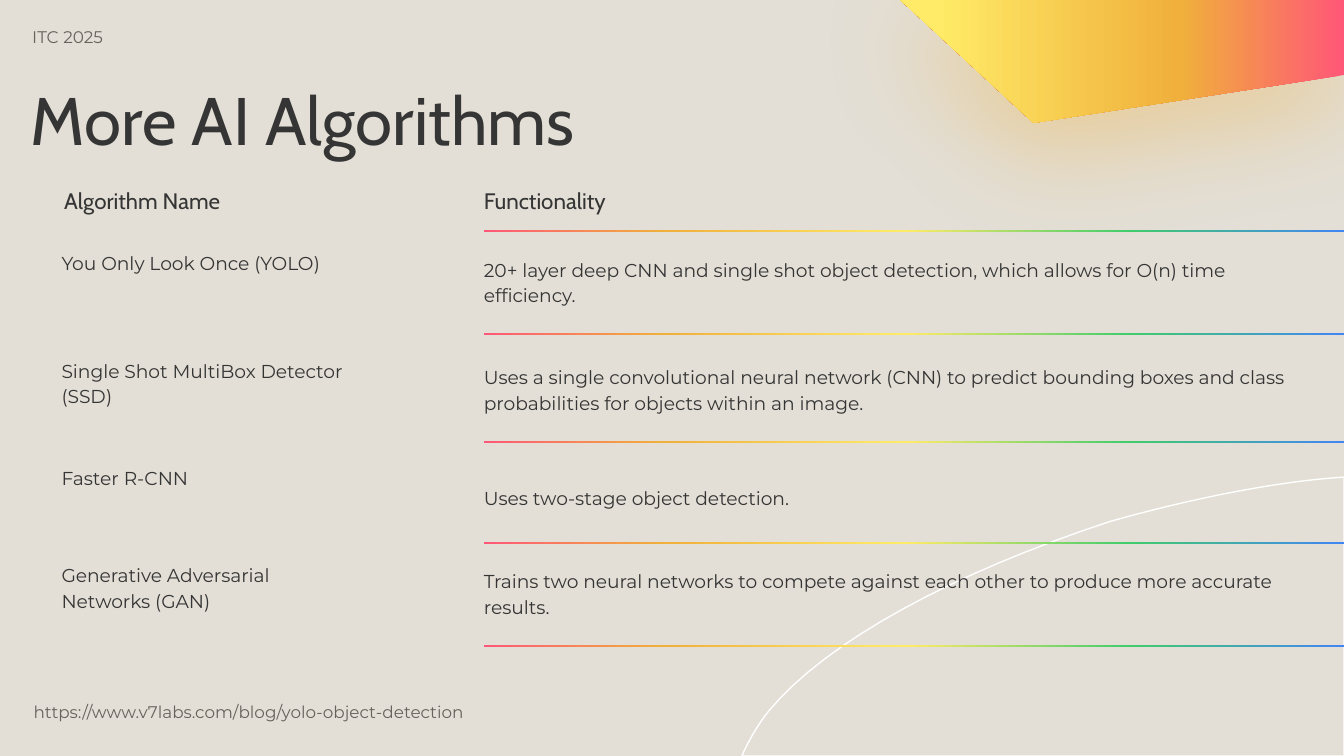
from dataclasses import dataclass

from lxml import etree
from pptx import Presentation
from pptx.dml.color import RGBColor
from pptx.enum.shapes import MSO_SHAPE
from pptx.enum.text import MSO_ANCHOR, MSO_AUTO_SIZE
from pptx.oxml.ns import qn
from pptx.util import Inches, Pt

RECT = MSO_SHAPE.RECTANGLE
TOP, MIDDLE, BOTTOM = MSO_ANCHOR.TOP, MSO_ANCHOR.MIDDLE, MSO_ANCHOR.BOTTOM
NO_FIT = MSO_AUTO_SIZE.NONE

COLUMNS, ROWS = 100, 56.25
UNIT = Inches(10) / COLUMNS


@dataclass(frozen=True)
class Theme:
    paper: str = "E3DFD6"
    ink: str = "353535"
    muted: str = "69615E"
    white: str = "FFFFFF"
    glow: str = "F0B03B"
    rainbow: tuple = ((0, "FF5777"), (21, "F0B03B"), (49, "FFEB67"),
                      (75, "41CC6B"), (100, "4285F4"))
    sunset: tuple = ((0, "FF5777"), (37, "F0B03B"), (92, "FFEB67"), (100, "FFEB67"))
    heading: str = "Cabin"
    body: str = "Montserrat"
    title_size: int = 36
    head_size: int = 12
    text_size: int = 10
    small_size: int = 9


THEME = Theme()

ALGORITHMS = [
    ("You Only Look Once (YOLO)",
     "20+ layer deep CNN and single shot object detection, which allows for "
     "O(n) time efficiency."),
    ("Single Shot MultiBox Detector (SSD)",
     "Uses a single convolutional neural network (CNN) to predict bounding "
     "boxes and class probabilities for objects within an image."),
    ("Faster R-CNN", "Uses two-stage object detection."),
    ("Generative Adversarial Networks (GAN)",
     "Trains two neural networks to compete against each other to produce "
     "more accurate results."),
]


def grid(*values):
    return [round(v * UNIT) for v in values]


def rgb(value):
    return RGBColor.from_string(value)


def add_text(s, text, box, sp=None, font=THEME.body, size=THEME.text_size,
             color=THEME.ink, anchor=TOP, spacing=1.15, insets=(1, 1, 1, 1)):
    if sp is None:
        sp = s.shapes.add_textbox(*grid(*box))
    else:
        sp.left, sp.top, sp.width, sp.height = grid(*box)
    tf = sp.text_frame
    tf.word_wrap = True
    tf.auto_size = NO_FIT
    tf.vertical_anchor = anchor
    tf.margin_left, tf.margin_top, tf.margin_right, tf.margin_bottom = grid(*insets)
    p = tf.paragraphs[0]
    p.alignment = 1
    p.line_spacing = spacing
    r = p.add_run()
    r.text = text
    r.font.name = font
    r.font.size = Pt(size)
    r.font.color.rgb = rgb(color)


def set_gradient(sp, stops, angle):
    sp.fill.gradient()
    sp.fill.gradient_angle = angle
    stop_list = next(sp.element.iter(qn("a:gsLst")))
    for old in list(stop_list):
        stop_list.remove(old)
    for position, color in stops:
        gs = etree.SubElement(stop_list, qn("a:gs"), pos=str(position * 1000))
        etree.SubElement(gs, qn("a:srgbClr"), val=color)


def add_glow(sp, color):
    effects = sp.element.spPr.find(qn("a:effectLst"))
    shadow = etree.SubElement(effects, qn("a:outerShdw"), blurRad=str(Pt(55.1)),
                              dist=str(Pt(17.2)), dir=str(95 * 60000),
                              algn="bl", rotWithShape="0")
    clr = etree.SubElement(shadow, qn("a:srgbClr"), val=color)
    etree.SubElement(clr, qn("a:alpha"), val="40000")


def add_polygon(s, points):
    start, *rest = [grid(*pt) for pt in points]
    builder = s.shapes.build_freeform(*start)
    builder.add_line_segments(rest, close=True)
    sp = builder.convert_to_shape()
    sp.shadow.inherit = False
    return sp


def bezier(a, b, c, d, steps=16):
    for i in range(1, steps + 1):
        t = i / steps
        u = 1 - t
        yield tuple(u**3 * m + 3 * u * u * t * n + 3 * u * t * t * o + t**3 * q
                    for m, n, o, q in zip(a, b, c, d))


def draw_arc(s, box):
    x, y, w, h = box
    knots = [(44.8, 0), (39.9, 0.3), (33.4, 1.6), (27.4, 3.3), (15.8, 7.1),
             (6.3, 12.2), (2, 17.4), (1.2, 18.4), (0.5, 19.6), (0, h)]
    points = [knots[0]]
    for i in range(0, len(knots) - 1, 3):
        points.extend(bezier(*knots[i:i + 4]))
    points.append((w, h))
    sp = add_polygon(s, [(x + px, y + py) for px, py in points])
    sp.fill.background()
    sp.line.color.rgb = rgb(THEME.white)
    sp.line.width = Pt(0.75)


def draw_corner(s, box):
    x, y, w, h = box
    sp = add_polygon(s, [(x, y), (x + 0.3 * w, y + h),
                         (x + w, y + 0.61 * h), (x + w, y)])
    set_gradient(sp, THEME.sunset, 180)
    sp.line.fill.background()
    add_glow(sp, THEME.glow)


def draw_rule(s, x, y, w, h):
    sp = s.shapes.add_shape(RECT, *grid(x, y, w, h))
    sp.shadow.inherit = False
    set_gradient(sp, THEME.rainbow, 0)
    sp.line.fill.background()


def draw_header(s, box):
    x, y, w, h = box
    add_text(s, "ITC 2025", (x, y, 17.3, 2.1), size=THEME.small_size,
             color=THEME.muted, spacing=1, insets=(2, 1, 1, 1))
    add_text(s, "More AI Algorithms", (x + 0.9, y + h - 7.5, w - 0.9, 7.5),
             sp=s.shapes.title, font=THEME.heading, size=THEME.title_size,
             spacing=0.9)


def draw_algorithms(s, box):
    x, y, w, h = box
    split = x + 32.4
    flush = (0, 1, 1, 1)
    row_tops = (5, 13, 21, 28.2)
    rules = ((4.6, 0.15), (12.3, 0.15), (20.3, 0.15), (27.8, 0.2), (h - 0.2, 0.15))
    head = dict(font=THEME.heading, size=THEME.head_size, anchor=BOTTOM)
    for top, thickness in rules:
        draw_rule(s, split, y + top, x + w - split, thickness)
    add_text(s, "Algorithm Name", (x + 0.2, y, 26.4, 4.4), **head)
    add_text(s, "Functionality", (split, y, 26.4, 4.4), insets=flush, **head)
    for top, (name, use) in zip(row_tops, ALGORITHMS):
        add_text(s, name, (x, y + top, 24.3, 6.8))
        add_text(s, use, (split, y + top, 61.5, 6.8), anchor=MIDDLE, insets=flush)


def draw_footer(s, box):
    add_text(s, "https://www.v7labs.com/blog/yolo-object-detection", box,
             size=THEME.small_size, color=THEME.muted, spacing=1,
             insets=(0, 0, 0, 0))


def main():
    prs = Presentation()
    prs.slide_width, prs.slide_height = grid(COLUMNS, ROWS)
    s = prs.slides.add_slide(prs.slide_layouts[5])
    s.background.fill.solid()
    s.background.fill.fore_color.rgb = rgb(THEME.paper)
    draw_arc(s, (55.2, 35.5, 44.8, ROWS - 35.5))
    draw_corner(s, (67, 0, 33, 9.15))
    draw_header(s, (0.4, 1, 71.3, 12))
    draw_algorithms(s, (3.6, 12.5, 96.4, 35.7))
    draw_footer(s, (2.5, 52.2, 55.4, 2.1))
    prs.save("out.pptx")


if __name__ == "__main__":
    main()
